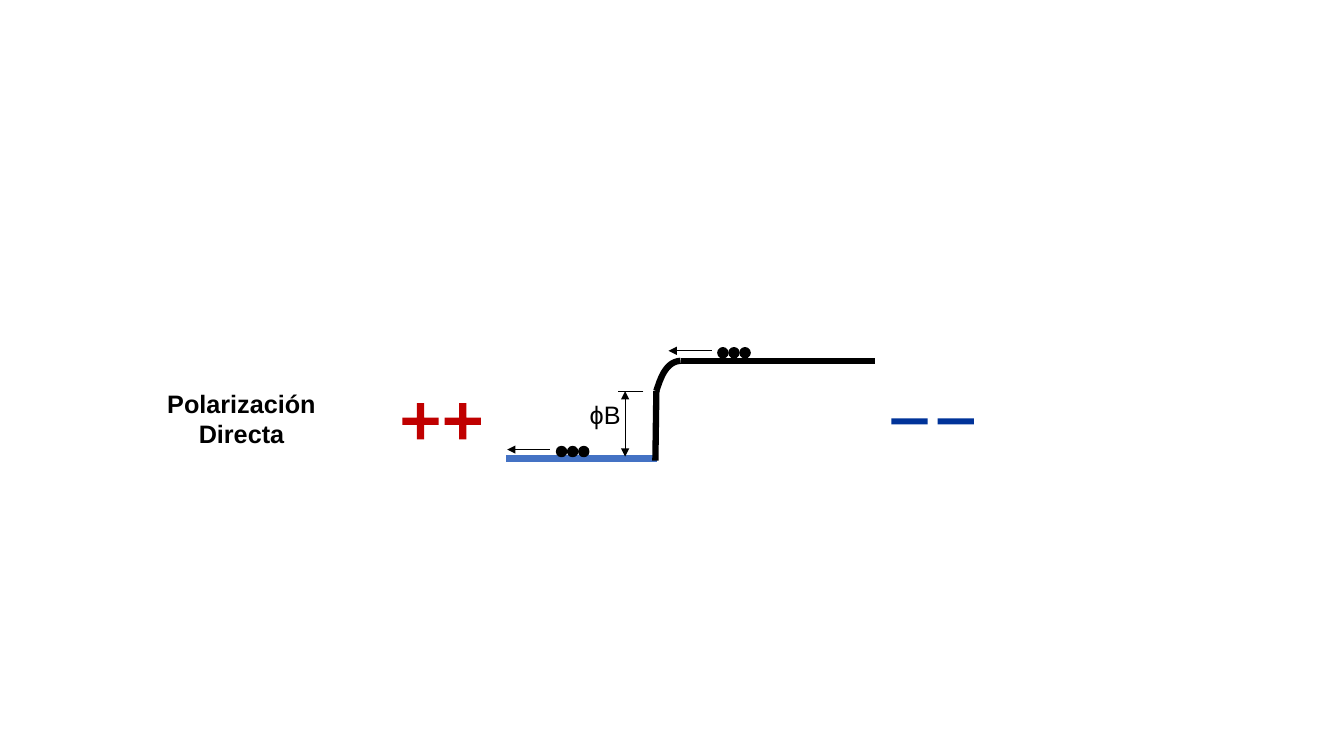
from pptx import Presentation
from pptx.dml.color import RGBColor
from pptx.enum.shapes import MSO_CONNECTOR, MSO_SHAPE
from pptx.enum.text import MSO_AUTO_SIZE, PP_ALIGN
from pptx.oxml.ns import qn
from pptx.util import Inches, Pt
from lxml.etree import SubElement

BLACK = RGBColor(0x00, 0x00, 0x00)
RED = RGBColor(0xC0, 0x00, 0x00)
NAVY = RGBColor(0x00, 0x33, 0x99)
BLUE = RGBColor(0x44, 0x72, 0xC4)

THIN, THICK = 0.5, 4.5
DOT, DOT_STEP = 1, 1.1
SIGN = 3.6
LOW, BARRIER, HIGH = 45.5, 38.8, 35.8  # energy levels, in grid rows
JUNCTION, PLATEAU = 65.1, 67.5  # grid columns where the step starts and ends


def cell(n):
    """Turn columns or rows of the tenth-of-an-inch grid into a length."""
    return Inches(n / 10)


def add_solid(slide, kind, x, y, w, h, color, outline=None):
    s = slide.shapes.add_shape(kind, cell(x), cell(y), cell(w), cell(h))
    s.shadow.inherit = False
    s.fill.solid()
    s.fill.fore_color.rgb = color
    if outline:
        s.line.color.rgb = color
        s.line.width = Pt(outline)
    else:
        s.line.fill.background()
    return s


def add_line(slide, start, end, width=THIN, color=BLACK, arrows=()):
    """Draw a line; arrows names the ends (headEnd, tailEnd) that get a triangle."""
    s = slide.shapes.add_connector(
        MSO_CONNECTOR.STRAIGHT, *map(cell, start), *map(cell, end))
    s.line.color.rgb = color
    s.line.width = Pt(width)
    spPr = s._element.spPr
    for end_tag in arrows:
        SubElement(spPr.find(qn("a:ln")), qn("a:" + end_tag), type="triangle")
    SubElement(spPr, qn("a:effectLst"))


def add_curve(slide, p0, p1, p2, p3, steps=24):
    """Draw a cubic Bézier curve as a fine polyline."""
    points = []
    for i in range(steps + 1):
        t = i / steps
        weights = ((1 - t) ** 3, 3 * t * (1 - t) ** 2, 3 * t ** 2 * (1 - t), t ** 3)
        points.append(tuple(
            cell(sum(w * c for w, c in zip(weights, axis)))
            for axis in zip(p0, p1, p2, p3)))
    builder = slide.shapes.build_freeform(*points[0], scale=1.0)
    builder.add_line_segments(points[1:], close=False)
    s = builder.convert_to_shape()
    s.shadow.inherit = False
    s.fill.background()
    s.line.color.rgb = BLACK
    s.line.width = Pt(THICK)


def add_electrons(slide, x, y):
    for i in range(3):
        add_solid(slide, MSO_SHAPE.OVAL, x + i * DOT_STEP, y, DOT, DOT, BLACK, outline=1)


def add_label(slide, x, y, w, h, lines, bold=False, align=PP_ALIGN.LEFT):
    tf = slide.shapes.add_textbox(cell(x), cell(y), cell(w), cell(h)).text_frame
    tf.word_wrap = False
    tf.auto_size = MSO_AUTO_SIZE.SHAPE_TO_FIT_TEXT
    for i, line in enumerate(lines):
        p = tf.add_paragraph() if i else tf.paragraphs[0]
        p.alignment = align
        r = p.add_run()
        r.text = line
        r.font.name = "Arial"
        r.font.size = Pt(18)
        r.font.bold = bold
        r.font.color.rgb = BLACK


def add_charges(slide):
    for x in (39.9, 44.1):
        plus = add_solid(slide, MSO_SHAPE.CROSS, x, 40, SIGN, SIGN, RED)
        plus.adjustments[0] = 0.4
    for x in (88.4, 93):
        add_solid(slide, MSO_SHAPE.RECTANGLE, x, 41.5, SIGN, 0.6, NAVY)


def add_band(slide):
    add_line(slide, (50.2, LOW), (65.2, LOW), THICK, BLUE)
    add_line(slide, (JUNCTION, BARRIER), (65, 45.7), THICK)
    add_line(slide, (PLATEAU, HIGH), (86.8, HIGH), THICK)
    add_curve(slide, (PLATEAU, HIGH), (66, 35.9), (65.5, 37.6), (JUNCTION, BARRIER))


def add_barrier_height(slide):
    add_line(slide, (63.8, BARRIER), (61.3, BARRIER))
    add_line(slide, (62, BARRIER), (62, 45.3), arrows=("headEnd", "tailEnd"))
    add_label(slide, 57.5, 39.1, 5.1, 4, ["ϕB"])


def add_carriers(slide):
    add_electrons(slide, 55.2, 44.3)
    add_line(slide, (54.5, 44.6), (50.3, 44.6), arrows=("tailEnd",))
    add_electrons(slide, 71.2, 34.5)
    add_line(slide, (70.6, 34.8), (66.3, 34.8), arrows=("tailEnd",))


def main():
    prs = Presentation()
    prs.slide_width, prs.slide_height = Inches(13.33), Inches(7.5)
    slide = prs.slides.add_slide(prs.slide_layouts[6])
    add_charges(slide)
    add_band(slide)
    add_barrier_height(slide)
    add_carriers(slide)
    add_label(slide, 15.5, 38, 16.9, 7.1, ["Polarización", "Directa"],
              bold=True, align=PP_ALIGN.CENTER)
    prs.save("out.pptx")


if __name__ == "__main__":
    main()
